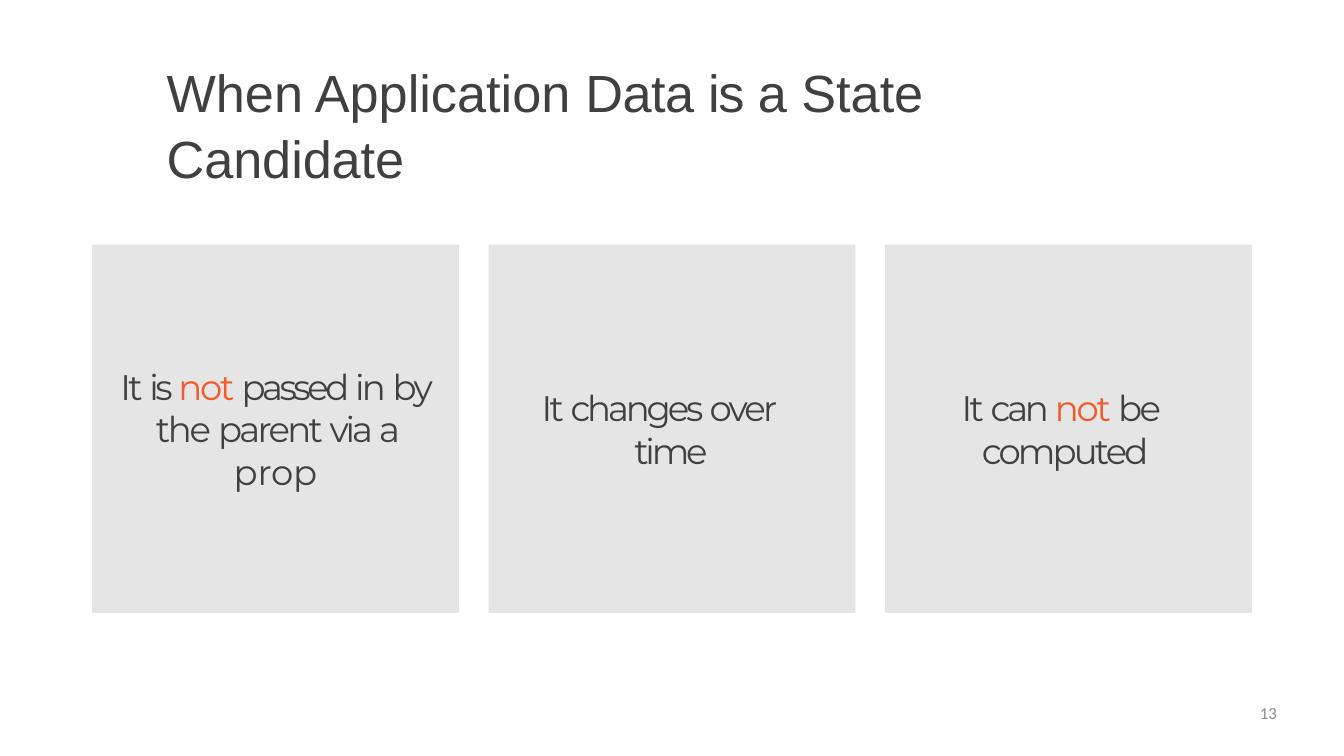
"""Build the slide on when application data is a state candidate."""
from pptx import Presentation
from pptx.dml.color import RGBColor
from pptx.enum.shapes import MSO_SHAPE as Shape
from pptx.enum.text import MSO_ANCHOR as Anchor, PP_ALIGN as Align
from pptx.util import Inches, Pt

INK = RGBColor(0x40, 0x40, 0x40)
ACCENT = RGBColor(0xF1, 0x5B, 0x2A)
PANEL = RGBColor(0xE5, 0xE5, 0xE5)
MUTED = RGBColor(0x8C, 0x8C, 0x8C)

CARD_LEFT, CARD_TOP, CARD_PITCH = 1.37, 3.64, 5.9
CARD_WIDTH, CARD_HEIGHT = 5.46, 5.48

TITLE = [("When Application ", 0), ("Data ", -0.6), ("is ", -1.4),
         ("a State ", 0), ("Candidate", -0.1)]

CARDS = [
    (Align.CENTER, 0.4, 0, 0.4,
     [("It ", -2.9), ("is ", -3.9), ("not ", -2.4), ("passed ", -3.7),
      ("in ", -3), ("by the ", -2.5), ("parent ", -2.9), ("via ", -3.5),
      ("a ", -5.1), ("prop", -0.2)]),
    (Align.LEFT, 2.17, -1.38, 0,
     [("It ", -2.9), ("changes ", -3.4), ("over ", -3), ("time", -3.5)]),
    (Align.LEFT, 1.44, -0.3, 0,
     [("It ", -2.9), ("can ", -3.6), ("not ", -2.4), ("be ", -2.8),
      ("computed", -3.1)]),
]


class SlideBuilder:
    def __init__(self, page):
        self.page = page

    def fill_text(self, shape, spans, font, size, color, align=Align.LEFT,
                  anchor=Anchor.TOP):
        frame = shape.text_frame
        frame.word_wrap = True
        frame.vertical_anchor = anchor
        frame.margin_left = frame.margin_right = 0
        frame.margin_top = frame.margin_bottom = 0
        para = frame.paragraphs[0]
        para.alignment = align
        para.font.name = font
        para.font.size = Pt(size)
        para.font.color.rgb = color
        for text, spacing in spans:
            span = para.add_run()
            span.text = text
            if text == "not ":
                span.font.color.rgb = ACCENT
            if spacing:
                span._r.get_or_add_rPr().set("spc", str(round(spacing * 100)))
        return para

    def text(self, left, top, width, height, spans, font, size, color,
             align=Align.LEFT):
        box = self.page.shapes.add_textbox(
            Inches(left), Inches(top), Inches(width), Inches(height))
        return self.fill_text(box, spans, font, size, color, align)

    def card(self, left, align, margin, indent, right, spans):
        box = self.page.shapes.add_shape(
            Shape.RECTANGLE, Inches(left), Inches(CARD_TOP),
            Inches(CARD_WIDTH), Inches(CARD_HEIGHT))
        box.shadow.inherit = False
        box.fill.solid()
        box.fill.fore_color.rgb = PANEL
        box.line.fill.background()
        para = self.fill_text(box, spans, "Montserrat", 38, INK, align,
                              Anchor.MIDDLE)
        box.text_frame.margin_right = Inches(right)
        properties = para._p.get_or_add_pPr()
        properties.set("marL", str(Inches(margin)))
        properties.set("indent", str(Inches(indent)))


def main():
    deck = Presentation()
    deck.slide_width, deck.slide_height = Inches(20), Inches(11.25)
    builder = SlideBuilder(deck.slides.add_slide(deck.slide_layouts[6]))
    title = builder.text(2.48, 0.85, 14.9, 1.85, TITLE, "Arial", 56, INK)
    title.line_spacing = 1.05
    for index, card in enumerate(CARDS):
        builder.card(CARD_LEFT + index * CARD_PITCH, *card)
    builder.text(14.4, 10.46, 4.6, 0.56, [("13", 0)], "Calibri", 18, MUTED,
                 Align.RIGHT)
    deck.save("out.pptx")


if __name__ == "__main__":
    main()
